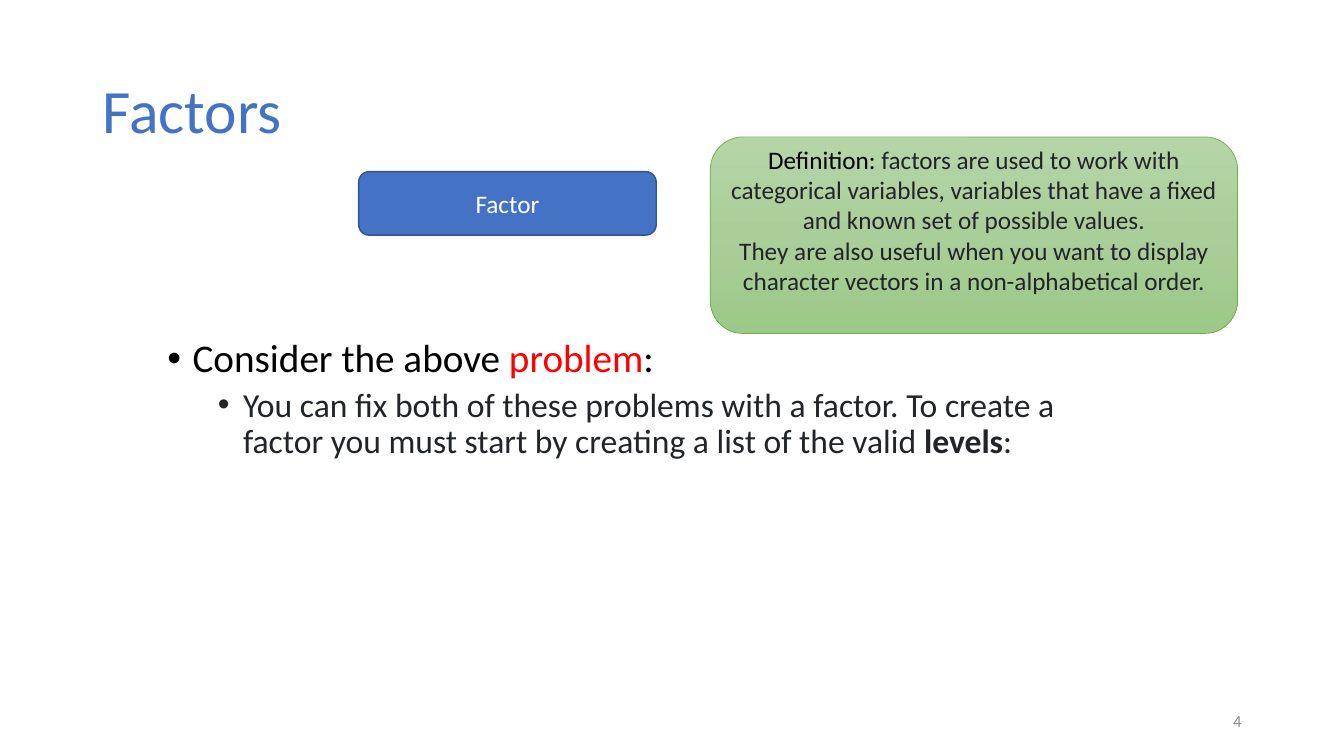
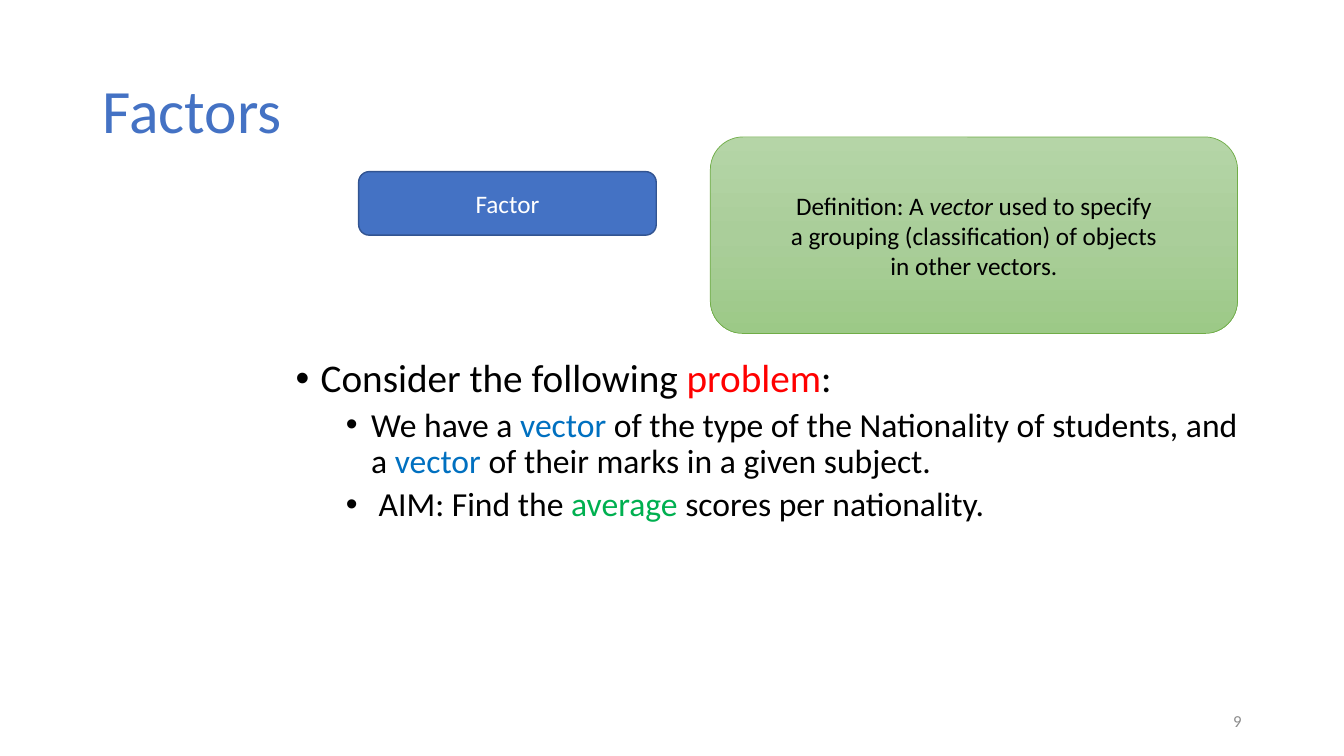
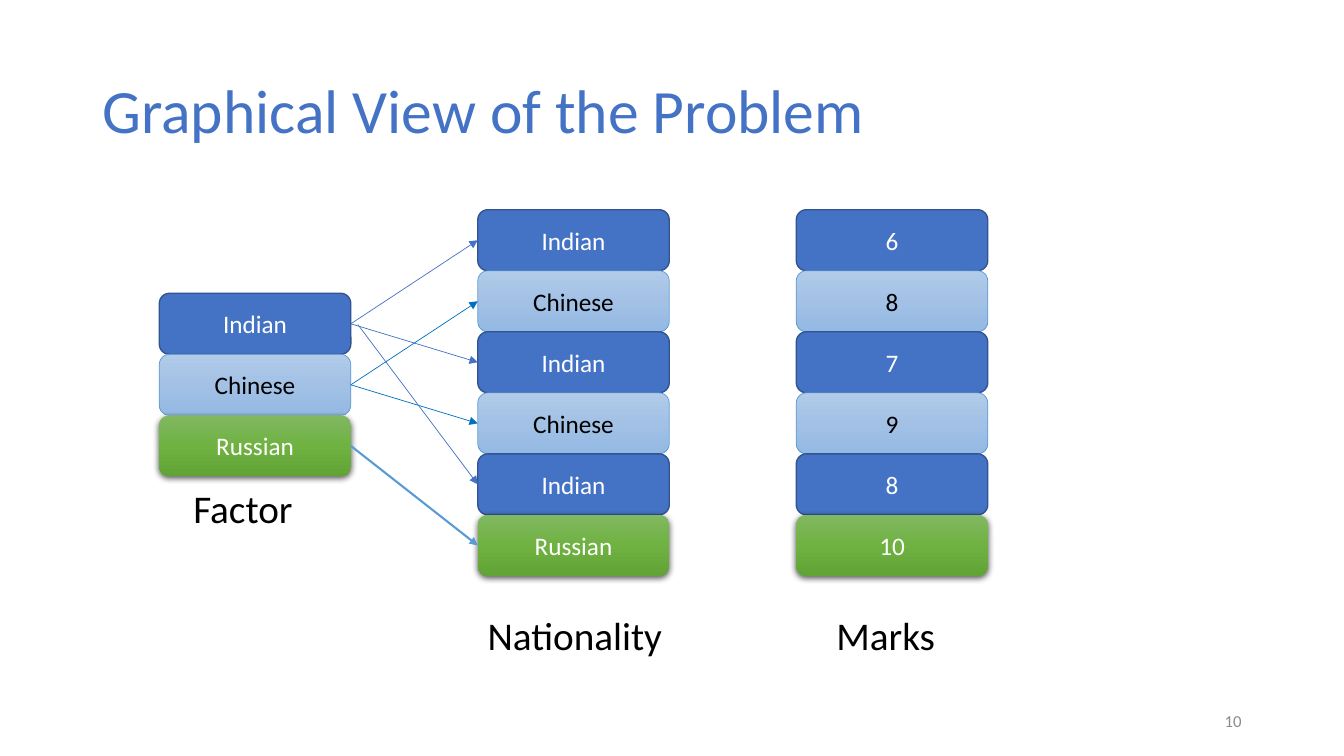
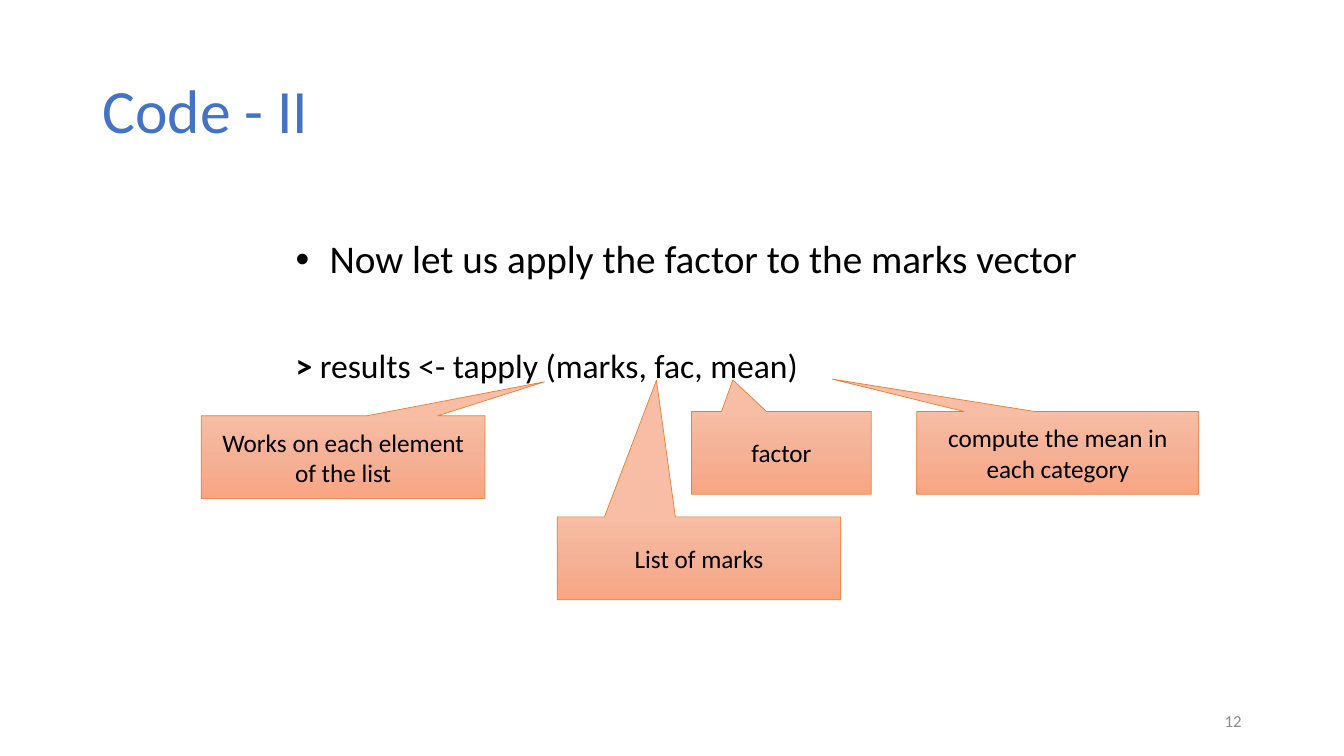
from copy import deepcopy

from lxml.etree import SubElement
from pptx import Presentation
from pptx.dml.color import RGBColor
from pptx.enum.shapes import MSO_CONNECTOR, MSO_SHAPE
from pptx.enum.text import MSO_ANCHOR, MSO_AUTO_SIZE, PP_ALIGN
from pptx.oxml.ns import qn
from pptx.util import Pt

FONT = "Calibri"
BLACK = RGBColor(0x00, 0x00, 0x00)
WHITE = RGBColor(0xFF, 0xFF, 0xFF)
CHARCOAL = RGBColor(0x21, 0x25, 0x29)
GRAY = RGBColor(0x8C, 0x8C, 0x8C)
RED = RGBColor(0xFF, 0x00, 0x00)
GREEN = RGBColor(0x00, 0xB0, 0x50)
AZURE = RGBColor(0x00, 0x70, 0xC0)
BLUE = RGBColor(0x44, 0x72, 0xC4)
NAVY = RGBColor(0x32, 0x54, 0x91)
SKY = RGBColor(0x5B, 0x9B, 0xD5)
LEAF = RGBColor(0x70, 0xAD, 0x47)
ORANGE = RGBColor(0xED, 0x7D, 0x31)

# Box styles: fill colours from top to bottom, line colour, line width, text colour
SOLID_BLUE = ([BLUE], NAVY, 1, WHITE)
PALE_BLUE = ([RGBColor(0xB1, 0xCB, 0xE9), RGBColor(0xA3, 0xC1, 0xE5),
              RGBColor(0x93, 0xB9, 0xE4)], SKY, 0.5, BLACK)
PALE_GREEN = ([RGBColor(0xB5, 0xD5, 0xA7), RGBColor(0xAA, 0xCE, 0x9A),
               RGBColor(0x9C, 0xC9, 0x87)], LEAF, 0.5, BLACK)
PALE_ORANGE = ([RGBColor(0xF7, 0xBD, 0xA5), RGBColor(0xF5, 0xB1, 0x96),
                RGBColor(0xF8, 0xA5, 0x82)], ORANGE, 0.5, BLACK)
RAISED_GREEN = ([RGBColor(0x81, 0xB8, 0x61), RGBColor(0x6F, 0xB2, 0x42),
                 RGBColor(0x62, 0xA3, 0x36)], None, 0, WHITE)


def write(frame, paragraphs, size, color, align=PP_ALIGN.LEFT):
    """Fill a frame; a paragraph lists strings or (string, colour or font flag)."""
    frame.word_wrap = True
    for i, runs in enumerate(paragraphs):
        paragraph = frame.add_paragraph() if i else frame.paragraphs[0]
        paragraph.alignment = align
        paragraph.font.name = FONT
        paragraph.font.size = Pt(size)
        paragraph.font.color.rgb = color
        for part in runs:
            text, emphasis = (part, None) if isinstance(part, str) else part
            run = paragraph.add_run()
            run.text = text
            if isinstance(emphasis, RGBColor):
                run.font.color.rgb = emphasis
            elif emphasis:
                setattr(run.font, emphasis, True)


def add_box(slide, preset, bounds, paragraphs, style):
    """Add a filled preset shape with centred text."""
    colors, line_color, line_width, text_color = style
    box = slide.shapes.add_shape(preset, *map(Pt, bounds))
    box.shadow.inherit = False
    if len(colors) == 1:
        box.fill.solid()
        box.fill.fore_color.rgb = colors[0]
    else:
        box.fill.gradient()
        box.fill.gradient_angle = 270
        stop_list = box._element.spPr.find(qn("a:gradFill")).find(qn("a:gsLst"))
        stop_list.insert(1, deepcopy(stop_list[0]))
        for stop, position, color in zip(box.fill.gradient_stops, (0, 0.5, 1), colors):
            stop.position = position
            stop.color.rgb = color
    if line_color is None:
        # Boxes without an outline cast a soft shadow downwards
        box.line.fill.background()
        effects = box._element.spPr.find(qn("a:effectLst"))
        shadow = SubElement(effects, qn("a:outerShdw"), blurRad=str(Pt(4.5)),
                            dist=str(Pt(1.5)), dir="5400000", algn="ctr", rotWithShape="0")
        shade = SubElement(shadow, qn("a:srgbClr"), val="000000")
        SubElement(shade, qn("a:alpha"), val="63000")
    else:
        box.line.color.rgb = line_color
        box.line.width = Pt(line_width)
    box.text_frame.vertical_anchor = MSO_ANCHOR.MIDDLE
    write(box.text_frame, paragraphs, 18, text_color, PP_ALIGN.CENTER)
    return box


prs = Presentation()
prs.slide_width, prs.slide_height = Pt(960), Pt(540)

# Titles and page numbers
slides = []
for heading, page in [("Factors", "4"), ("Factors", "9"),
                      ("Graphical View of the Problem", "10"), ("Code - II", "12")]:
    slide = prs.slides.add_slide(prs.slide_layouts[5])
    title = slide.shapes.title
    title.left, title.top, title.width, title.height = map(Pt, (66, 28.8, 828, 104.4))
    title.text_frame.auto_size = MSO_AUTO_SIZE.NONE
    title.text_frame.vertical_anchor = MSO_ANCHOR.MIDDLE
    write(title.text_frame, [[heading]], 44, BLUE)
    title.text_frame.paragraphs[0].line_spacing = 0.9

    number = slide.shapes.add_textbox(*map(Pt, (678, 500.4, 216, 28.8)))
    number.text_frame.vertical_anchor = MSO_ANCHOR.MIDDLE
    write(number.text_frame, [[page]], 12, GRAY, PP_ALIGN.RIGHT)
    slides.append(slide)
factor_slide, problem_slide, graph_slide, code_slide = slides

# Bulleted text: the first paragraph is the lead, the others are one level down
for slide, bounds, detail_color, paragraphs in [
    (factor_slide, (112.5, 238.4, 702, 245.5), CHARCOAL, [
        ["Consider the above ", ("problem", RED), ":"],
        ["You can fix both of these problems with a factor. To create a factor "
         "you must start by creating a list of the valid ", ("levels", "bold"), ":"]]),
    (problem_slide, (204, 252.8, 702, 245.5), BLACK, [
        ["Consider the following ", ("problem", RED), ":"],
        ["We have a ", ("vector", AZURE), " of the type of the Nationality of students, and a ",
         ("vector", AZURE), " of their marks in a given subject."],
        [" AIM: Find the ", ("average", GREEN), " scores per nationality."]]),
    (code_slide, (204, 167.8, 702, 44.6), BLACK, [
        [" Now let us apply the factor to the marks vector"]]),
]:
    body = slide.shapes.add_textbox(*map(Pt, bounds))
    write(body.text_frame, paragraphs, 24, detail_color)
    for i, paragraph in enumerate(body.text_frame.paragraphs):
        paragraph.line_spacing = 0.9
        paragraph.space_before = Pt(5 if i else 10)
        if i:
            paragraph.level = 1
        else:
            paragraph.font.size = Pt(28)
            paragraph.font.color.rgb = BLACK
        properties = paragraph._p.get_or_add_pPr()
        properties.set("marL", str(Pt(54 if i else 18)))
        properties.set("indent", str(Pt(-18)))
        run_defaults = properties.find(qn("a:defRPr"))
        bullet_font = properties.makeelement(qn("a:buFont"), {"typeface": "Arial"})
        bullet = properties.makeelement(qn("a:buChar"), {"char": "•"})
        run_defaults.addprevious(bullet_font)
        run_defaults.addprevious(bullet)

# Term and definition
for slide, definition, bottom_inset in [
    (factor_slide, [
        ["Definition: ", ("factors are used to work with categorical variables, variables "
                          "that have a fixed and known set of possible values.", CHARCOAL)],
        [("They are also useful when you want to display character vectors in a "
          "non-alphabetical order.", CHARCOAL)]], 25.6),
    (problem_slide, [
        ["Definition: A ", ("vector", "italic"), " used to specify"],
        ["a grouping (classification) of objects"],
        ["in other vectors."]], 3.6),
]:
    add_box(slide, MSO_SHAPE.ROUNDED_RECTANGLE, (256.2, 122.6, 212.6, 45.4),
            [["Factor"]], SOLID_BLUE)
    meaning = add_box(slide, MSO_SHAPE.ROUNDED_RECTANGLE, (507.4, 97.8, 376.6, 140.4),
                      definition, PALE_GREEN)
    meaning.text_frame.margin_bottom = Pt(bottom_inset)

# Columns of the graphical view
ROW_HEIGHT, COLUMN_WIDTH, COLUMN_STEP, FIRST_COLUMN = 43.6, 136.8, 227.5, 113.8
NATION_STYLES = {"Indian": SOLID_BLUE, "Chinese": PALE_BLUE, "Russian": RAISED_GREEN}
levels = list(NATION_STYLES)
nationalities = ["Indian", "Chinese", "Indian", "Chinese", "Indian", "Russian"]
marks = ["6", "8", "7", "9", "8", "10"]
columns = []
for i, (top, labels, nations) in enumerate([(209.5, levels, levels),
                                            (149.8, nationalities, nationalities),
                                            (149.8, marks, nationalities)]):
    columns.append([
        add_box(graph_slide, MSO_SHAPE.ROUNDED_RECTANGLE,
                (FIRST_COLUMN + i * COLUMN_STEP, top + row * ROW_HEIGHT,
                 COLUMN_WIDTH, ROW_HEIGHT), [[label]], NATION_STYLES[nation])
        for row, (label, nation) in enumerate(zip(labels, nations))])

# Arrows from each level to its members; the third starts just off its box
ARROW_STYLES = {"Indian": (BLUE, 0.5), "Chinese": (AZURE, 0.5), "Russian": (SKY, 1.5)}
for row, (nation, member) in enumerate(zip(nationalities, columns[1])):
    arrow = graph_slide.shapes.add_connector(
        MSO_CONNECTOR.STRAIGHT, Pt(255.6), Pt(231.8), member.left, member.top)
    if row != 4:
        arrow.begin_connect(columns[0][levels.index(nation)], 3)
    arrow.end_connect(member, 1)
    color, width = ARROW_STYLES[nation]
    arrow.line.color.rgb = color
    arrow.line.width = Pt(width)
    SubElement(arrow._element.spPr.find(qn("a:ln")), qn("a:tailEnd"), type="triangle")
    SubElement(arrow._element.spPr, qn("a:effectLst"))

# Column captions and the line of code
for slide, bounds, runs, size in [
    (graph_slide, (131, 342.7, 102.2, 41), ["Factor"], 28),
    (graph_slide, (341.3, 433, 161.3, 41), ["Nationality"], 28),
    (graph_slide, (590.4, 433.4, 93.6, 41), ["Marks"], 28),
    (code_slide, (204, 242.6, 458, 36),
     [("> ", "bold"), "results <- tapply (marks, fac, mean)"], 24),
]:
    caption = slide.shapes.add_textbox(*map(Pt, bounds))
    write(caption.text_frame, [runs], size, BLACK)

# Callouts explaining the code
for left, top, width, note, pointer in [
    (398, 369.2, 202.6, "List of marks", (-0.15, -2.15)),
    (143.8, 297, 202.6, "Works on each element of the list", (0.71, -0.91)),
    (494, 293.9, 128.4, "factor", (-0.27, -0.88)),
    (654.9, 293.9, 201.4, "compute the mean in each category", (-0.8, -0.89)),
]:
    callout = add_box(code_slide, MSO_SHAPE.RECTANGULAR_CALLOUT, (left, top, width, 59.2),
                      [[note]], PALE_ORANGE)
    callout.adjustments[0], callout.adjustments[1] = pointer

prs.save("out.pptx")
